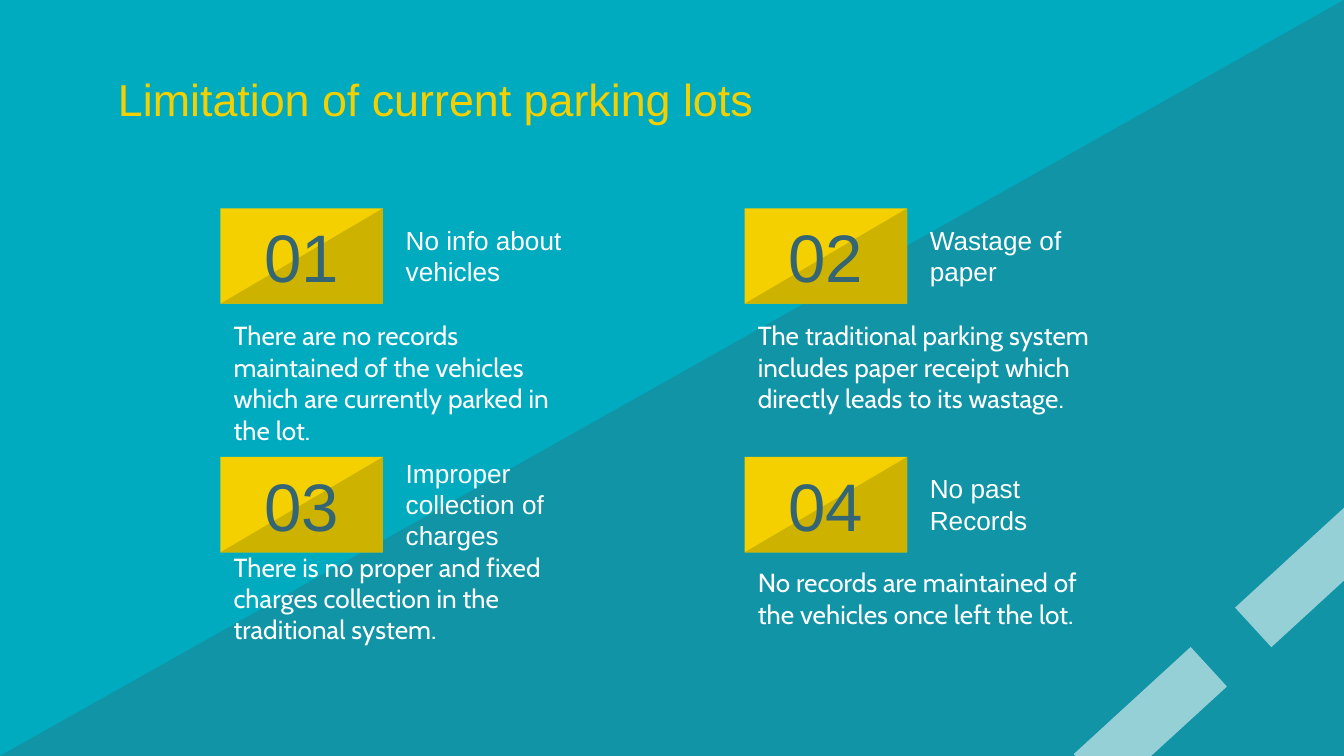
from lxml import etree
from pptx import Presentation
from pptx import util as u
from pptx.dml.color import RGBColor
from pptx.enum import shapes, text
from pptx.oxml.ns import qn

COLUMNS, ROWS = 100, 56.25  # square grid cells, a tenth of an inch each
TILE_WIDTH, TILE_HEIGHT = 12.1, 7.1
COLUMN_LEFTS = (16.4, 55.4)
ROW_TOPS = (15.5, 34)
BODY_TOPS = (22.8, 41)
BODY_ANCHORS = (text.MSO_ANCHOR.TOP, text.MSO_ANCHOR.MIDDLE)

LIMITATIONS = [
    ("No info about vehicles",
     "There are no records maintained of the vehicles which are currently parked in the lot."),
    ("Wastage of paper",
     "The traditional parking system includes paper receipt which directly leads to its wastage."),
    ("Improper collection of charges",
     "There is no proper and fixed charges collection in the traditional system."),
    ("No past Records",
     "No records are maintained of the vehicles once left the lot."),
]


def color(hex_string):
    return RGBColor.from_string(hex_string)


def write(box, words, *, size=14, font="Arial", ink="FFFFFF",
          align=text.PP_ALIGN.LEFT, anchor=text.MSO_ANCHOR.MIDDLE):
    frame = box.text_frame
    frame.word_wrap = True
    frame.vertical_anchor = anchor
    frame.margin_left = frame.margin_right = u.Inches(0.1)
    frame.margin_top = frame.margin_bottom = u.Inches(0.1)
    para = frame.paragraphs[0]
    para.alignment = align
    span = para.add_run()
    span.text = words
    span.font.size = u.Pt(size)
    span.font.name = font
    span.font.color.rgb = color(ink)


class ParkingSlide:
    """Holds the palette and the slide; all lengths are in grid columns and rows."""

    teal, slate, yellow, mustard, white = "00ABBF", "336574", "F4D000", "CEB200", "FFFFFF"

    def __init__(self, deck):
        self.cell_width = deck.slide_width / COLUMNS
        self.cell_height = deck.slide_height / ROWS
        self.page = deck.slides.add_slide(deck.slide_layouts[6])
        background = self.page.background.fill
        background.solid()
        background.fore_color.rgb = color(self.teal)

    def place(self, left, top, width, height):
        return (round(left * self.cell_width), round(top * self.cell_height),
                round(width * self.cell_width), round(height * self.cell_height))

    def shape(self, kind, *area, fill, opacity=100):
        shape = self.page.shapes.add_shape(kind, *self.place(*area))
        shape.shadow.inherit = False
        shape.line.fill.background()
        shape.fill.solid()
        shape.fill.fore_color.rgb = color(fill)
        if opacity < 100:
            tint = shape.element.spPr.find(".//" + qn("a:srgbClr"))
            etree.SubElement(tint, qn("a:alpha")).set("val", str(opacity * 1000))
        return shape

    def corner(self, *area, **style):
        """Right triangle with its square corner at the bottom right."""
        triangle = self.shape(shapes.MSO_SHAPE.RIGHT_TRIANGLE, *area, **style)
        triangle.element.spPr.find(qn("a:xfrm")).set("flipH", "1")

    def stripe(self, left, top):
        stripe = self.shape(shapes.MSO_SHAPE.RECTANGLE, left, top, 11.8, 4,
                            fill=self.white, opacity=56)
        stripe.rotation = 317.5

    def label(self, words, *area, **style):
        write(self.page.shapes.add_textbox(*self.place(*area)), words, **style)

    def tile(self, number, left, top):
        area = (left, top, TILE_WIDTH, TILE_HEIGHT)
        self.shape(shapes.MSO_SHAPE.RECTANGLE, *area, fill=self.yellow)
        self.corner(*area, fill=self.mustard)
        self.label(f"{number:02}", *area, size=36, ink=self.slate,
                   align=text.PP_ALIGN.CENTER)

    def limitation(self, index, heading, body):
        row, column = divmod(index, len(COLUMN_LEFTS))
        left, top = COLUMN_LEFTS[column], ROW_TOPS[row]
        self.tile(index + 1, left, top)
        self.label(heading, left + 12.8, top, 15.5, 7)
        self.label(body, left, BODY_TOPS[row], 28.3, 7, font="Cabin",
                   anchor=BODY_ANCHORS[row])


def main():
    deck = Presentation()
    deck.slide_width, deck.slide_height = u.Inches(10), u.Inches(5.625)
    slide = ParkingSlide(deck)
    slide.corner(0, 0, COLUMNS, ROWS, fill=slide.slate, opacity=32)
    slide.stripe(79.7, 51.6)
    slide.stripe(91.7, 40.7)
    slide.label("Limitation of current parking lots", 7.8, 4.2, 84.4, 6.3,
                size=24, ink=slide.yellow)
    for index, (heading, body) in enumerate(LIMITATIONS):
        slide.limitation(index, heading, body)
    deck.save("out.pptx")


if __name__ == "__main__":
    main()
